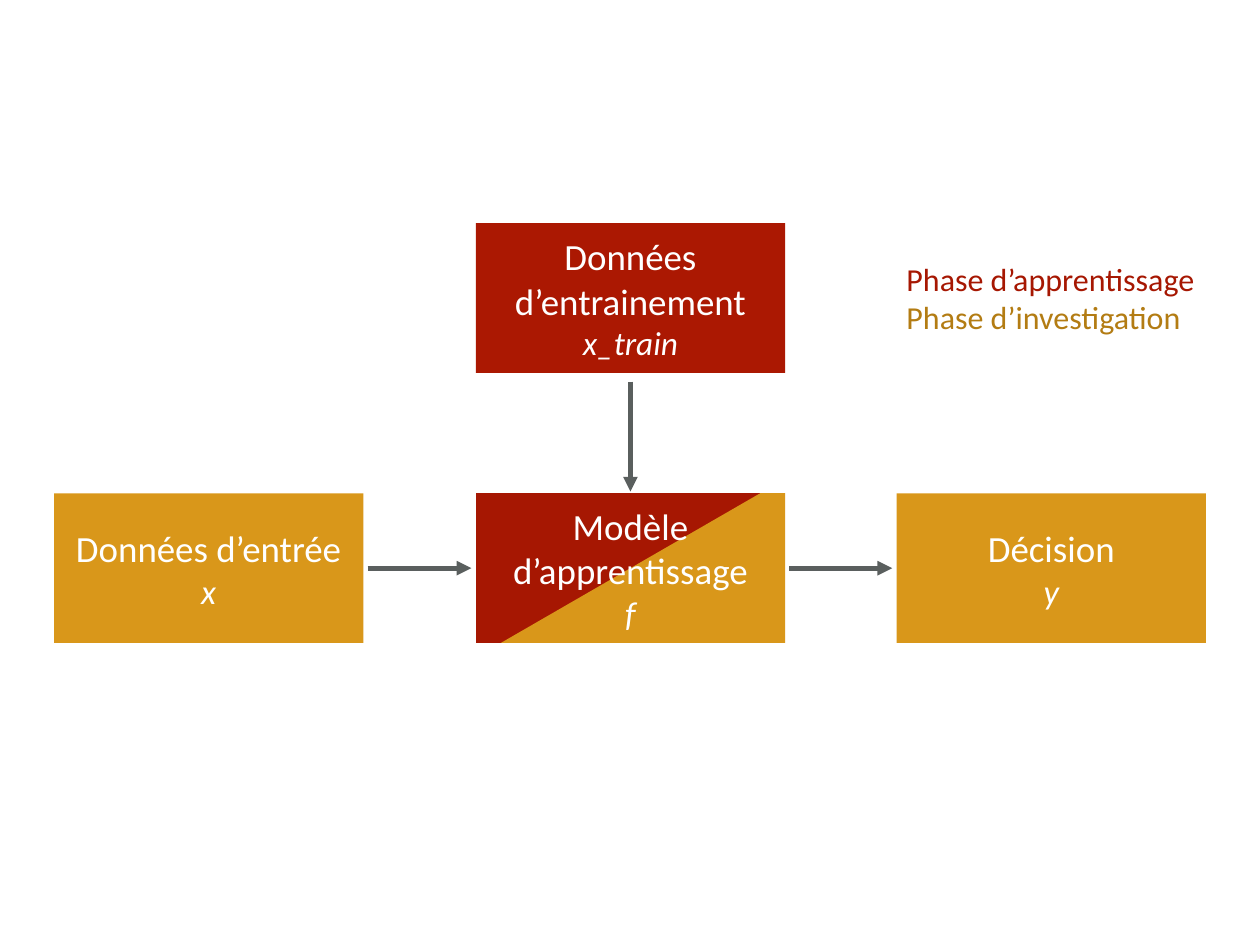
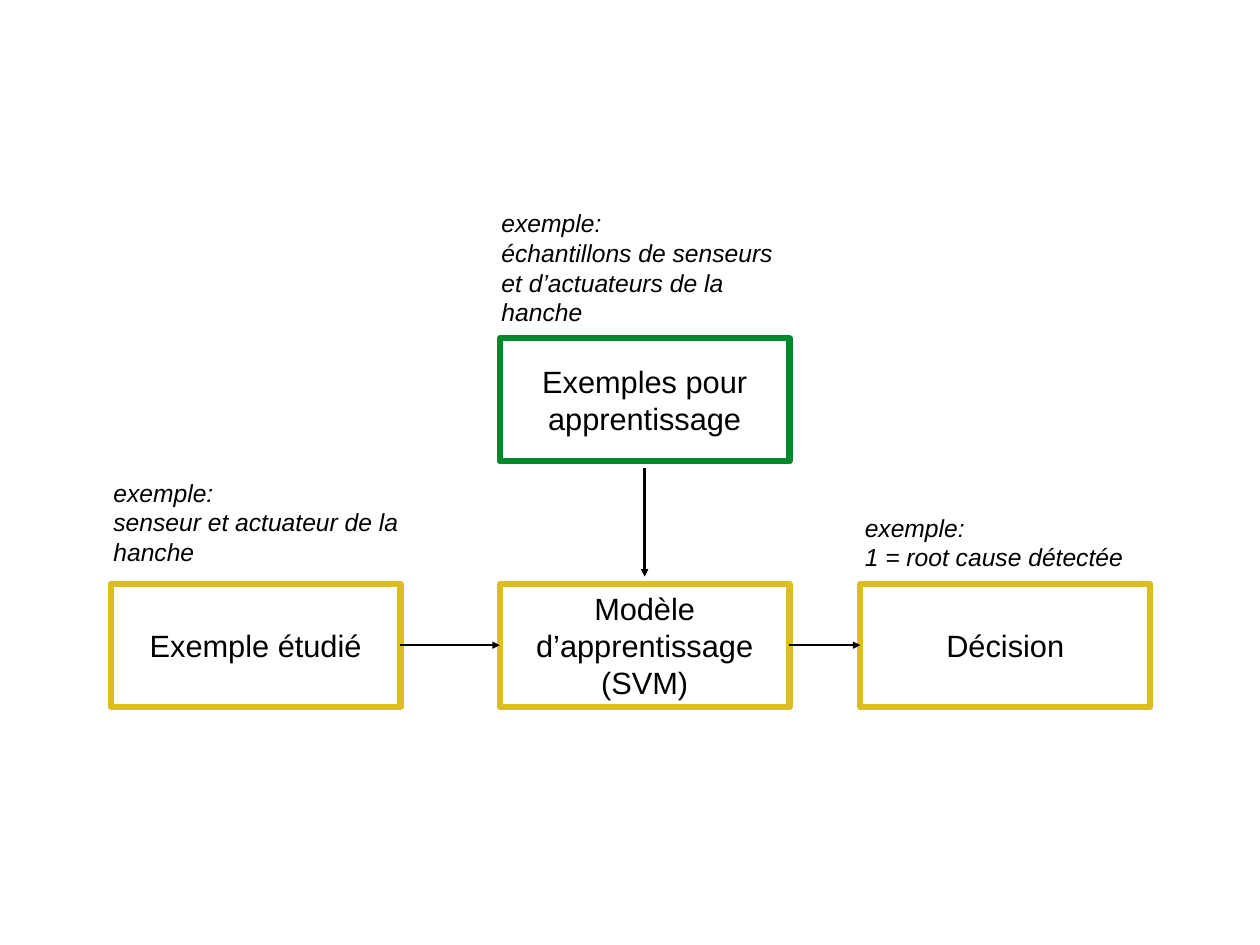
from dataclasses import dataclass

from pptx import Presentation
from pptx.dml.color import RGBColor
from pptx.enum.shapes import MSO_CONNECTOR as CONN, MSO_SHAPE as SHAPE
from pptx.enum.text import MSO_ANCHOR as ANCHOR, MSO_AUTO_SIZE as FIT, PP_ALIGN as ALIGN
from pptx.oxml.ns import qn
from pptx.util import Emu, Pt
from lxml.etree import SubElement

PX = 9144  # one px is a hundredth of an inch
TOP, LEFT, BOTTOM, RIGHT = range(4)


@dataclass(frozen=True)
class Theme:
    red: str = "A61702"
    training_red: str = "AB1802"
    gold: str = "D9971A"
    dark_gold: str = "B37C13"
    grey: str = "5A5F5E"
    yellow: str = "DCBD23"
    green: str = "00882B"
    white: str = "FFFFFF"
    black: str = "000000"
    phase_font: str = "Calibri"
    example_font: str = "Arial"
    label: int = 30
    symbol: int = 28
    train_symbol: int = 27
    legend: int = 26
    example_label: int = 25
    note: int = 20
    inset: int = 6
    phase_arrow: int = 4
    example_arrow: int = 2
    frame: int = 5


THEME = Theme()


def px(n):
    return Emu(round(n * PX))


def rgb(color):
    return RGBColor.from_string(color)


def write(sp, lines, align, **frame):
    """Fill a shape with (text, font name, size, colour, italic) lines."""
    tf = sp.text_frame
    settings = {"word_wrap": True, "vertical_anchor": ANCHOR.MIDDLE, **frame}
    for side in ("left", "top", "right", "bottom"):
        settings[f"margin_{side}"] = px(THEME.inset)
    for name, value in settings.items():
        setattr(tf, name, value)
    for i, (text, font, size, color, italic) in enumerate(lines):
        p = tf.add_paragraph() if i else tf.paragraphs[0]
        p.alignment = align
        r = p.add_run()
        r.text = text
        for name, value in {"name": font, "size": Pt(size), "italic": italic}.items():
            setattr(r.font, name, value)
        r.font.color.rgb = rgb(color)


def add_box(slide, at, lines):
    sp = slide.shapes.add_shape(SHAPE.RECTANGLE, *map(px, at))
    sp.shadow.inherit = False
    write(sp, lines, ALIGN.CENTER)
    return sp


def phase_box(slide, at, label, symbol, colors, symbol_size=THEME.symbol):
    """Filled box; two colours are split along a diagonal."""
    sp = add_box(slide, at, [
        (label, THEME.phase_font, THEME.label, THEME.white, False),
        (symbol, THEME.phase_font, symbol_size, THEME.white, True),
    ])
    sp.line.fill.background()
    if len(colors) == 1:
        sp.fill.solid()
        sp.fill.fore_color.rgb = rgb(colors[0])
    else:
        sp.fill.gradient()
        sp.fill.gradient_angle = 300
        for stop, color in zip(sp.fill.gradient_stops, colors):
            stop.color.rgb = rgb(color)
            stop.position = 0.5
    return sp


def example_box(slide, at, label, color):
    sp = add_box(slide, at, [
        (label, THEME.example_font, THEME.example_label, THEME.black, False)])
    sp.fill.background()
    sp.line.color.rgb = rgb(color)
    sp.line.width = Pt(THEME.frame)
    return sp


def add_text(slide, at, lines, wrap=True):
    sp = slide.shapes.add_textbox(*map(px, at))
    write(sp, lines, ALIGN.LEFT, word_wrap=wrap, auto_size=FIT.SHAPE_TO_FIT_TEXT)


def add_note(slide, at, text):
    add_text(slide, at, [
        (line, THEME.example_font, THEME.note, THEME.black, True)
        for line in ("exemple:", text)])


def add_arrow(slide, source, target, color, width, down=False, gaps=(0, 0)):
    """Arrow between facing sides; it is joined to the boxes where no gap is set."""
    start, end = (px(gap) for gap in gaps)
    if down:
        x = source.left + source.width // 2
        points = (x, source.top + source.height + start, x, target.top - end)
        sides = (BOTTOM, TOP)
    else:
        y = source.top + source.height // 2
        points = (source.left + source.width + start, y, target.left - end, y)
        sides = (RIGHT, LEFT)
    line = slide.shapes.add_connector(CONN.STRAIGHT, *points)
    if not any(gaps):
        line.begin_connect(source, sides[0])
        line.end_connect(target, sides[1])
    line.line.color.rgb = rgb(color)
    line.line.width = Pt(width)
    props = line._element.spPr
    SubElement(props.find(qn("a:ln")), qn("a:tailEnd"), type="triangle")
    SubElement(props, qn("a:effectLst"))


def phases_slide(slide):
    size, row = (349, 169), 557
    left, middle, right = 61, 537, 1012
    train = phase_box(slide, (middle, 252, *size), "Données d’entrainement", "x_train",
                      [THEME.training_red], THEME.train_symbol)
    model = phase_box(slide, (middle, row, *size), "Modèle d’apprentissage", "f",
                      [THEME.red, THEME.gold])
    entry = phase_box(slide, (left, row, *size), "Données d’entrée", "x", [THEME.gold])
    decision = phase_box(slide, (right, row, *size), "Décision", "y", [THEME.gold])

    style = (THEME.grey, THEME.phase_arrow)
    add_arrow(slide, train, model, *style, down=True, gaps=(10, 2))
    for source, target in ((entry, model), (model, decision)):
        add_arrow(slide, source, target, *style, gaps=(5, 5))

    add_text(slide, (1017, 289, 338, 94), [
        (text, THEME.phase_font, THEME.legend, color, False)
        for text, color in (("Phase d’apprentissage", THEME.red),
                            ("Phase d’investigation", THEME.dark_gold))], wrap=False)


def example_slide(slide):
    size, row = (327, 139), 659
    left, middle, right = 125, 564, 971
    model = example_box(slide, (middle, row, *size), "Modèle d’apprentissage (SVM)",
                        THEME.yellow)
    samples = example_box(slide, (middle, 382, *size), "Exemples pour apprentissage",
                          THEME.green)
    studied = example_box(slide, (left, row, *size), "Exemple étudié", THEME.yellow)
    decision = example_box(slide, (right, row, *size), "Décision", THEME.yellow)

    style = (THEME.black, THEME.example_arrow)
    add_arrow(slide, samples, model, *style, down=True, gaps=(8, 8))
    for source, target in ((studied, model), (model, decision)):
        add_arrow(slide, source, target, *style)

    add_note(slide, (970, 573, 330, 78), "1 = root cause détectée")
    add_note(slide, (122, 534, 334, 111), "senseur et actuateur de la hanche")
    add_note(slide, (560, 230, 334, 144),
             "échantillons de senseurs et d’actuateurs de la hanche")


def main():
    prs = Presentation()
    prs.slide_width, prs.slide_height = px(1422), px(1067)
    blank = prs.slide_layouts[6]
    for build in (phases_slide, example_slide):
        build(prs.slides.add_slide(blank))
    prs.save("out.pptx")


if __name__ == "__main__":
    main()
